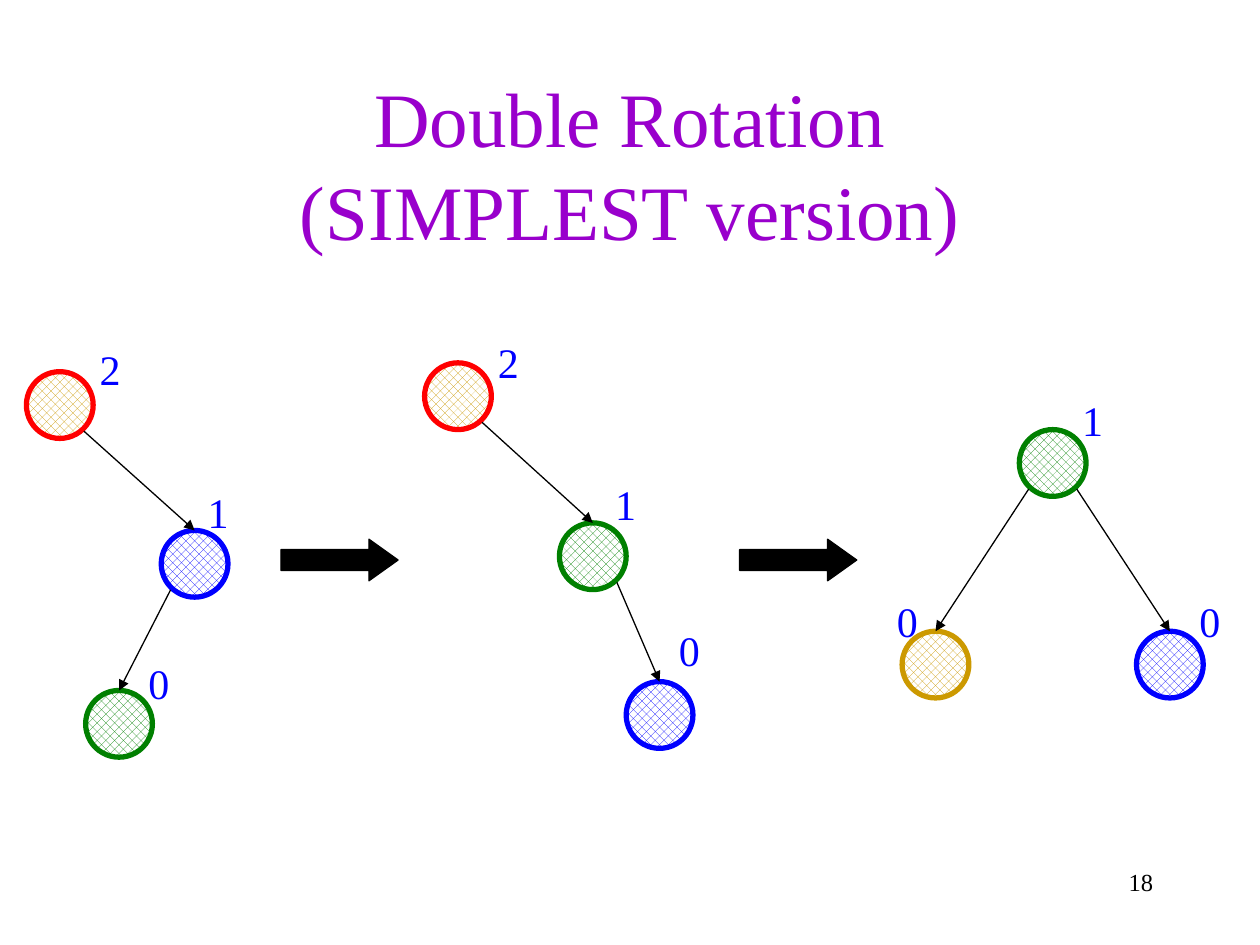
from collections import namedtuple
from dataclasses import dataclass

from lxml.etree import SubElement
from pptx import Presentation
from pptx.dml.color import RGBColor
from pptx.enum.dml import MSO_PATTERN
from pptx.enum.shapes import MSO_CONNECTOR, MSO_SHAPE
from pptx.enum.text import MSO_ANCHOR, PP_ALIGN
from pptx.oxml.ns import qn
from pptx.util import Inches, Pt


@dataclass(frozen=True)
class Theme:
    font: str = "Times New Roman"
    title: str = "9900CC"
    ink: str = "000000"
    paper: str = "FFFFFF"
    red: str = "FF0000"
    green: str = "008000"
    blue: str = "0000FF"
    gold: str = "CC9900"
    title_size: int = 44
    label_size: int = 24
    number_size: int = 14
    ring_width: float = 3
    edge_width: float = 0.75


Box = namedtuple("Box", "left top width height")
# Node and label places are grid steps from the tree's and the node's corner.
Node = namedtuple("Node", "column row fill ring height label parent")

THEME = Theme()
COLUMNS, ROWS = 100, 75
STEP = Inches(10) // COLUMNS
NODE = 5.3
LABEL = (3.7, 5)


def grid(*steps):
    return [round(step * STEP) for step in steps]


def rgb(value):
    return RGBColor.from_string(value)


def add_text(page, text, box, *, size, color, align=PP_ALIGN.LEFT,
             anchor=MSO_ANCHOR.TOP, wrap=True):
    frame = page.shapes.add_textbox(*grid(*box)).text_frame
    frame.word_wrap = wrap
    frame.vertical_anchor = anchor
    para = frame.paragraphs[0]
    para.alignment = align
    para.text = text
    for span in para.runs:
        span.font.name = THEME.font
        span.font.size = Pt(size)
        span.font.color.rgb = rgb(color)


def add_node(page, box, fill, ring):
    circle = page.shapes.add_shape(MSO_SHAPE.OVAL, *grid(*box))
    circle.shadow.inherit = False
    circle.fill.patterned()
    circle.fill.pattern = MSO_PATTERN.PERCENT_50
    circle.fill.fore_color.rgb = rgb(fill)
    circle.fill.back_color.rgb = rgb(THEME.paper)
    circle.line.color.rgb = rgb(ring)
    circle.line.width = Pt(THEME.ring_width)
    return circle


def add_edge(page, parent, child):
    """Run an arrow from the parent's lower corner to the child's top."""
    share = 0.86 if child.left > parent.left else 0.14
    start = (parent.left + round(share * parent.width),
             parent.top + round(0.89 * parent.height))
    edge = page.shapes.add_connector(MSO_CONNECTOR.STRAIGHT, *start, *start)
    edge.end_connect(child, 0)
    edge.line.color.rgb = rgb(THEME.ink)
    edge.line.width = Pt(THEME.edge_width)
    SubElement(edge.line._get_or_add_ln(), qn("a:tailEnd"), type="triangle")
    SubElement(edge._element.spPr, qn("a:effectLst"))


def add_tree(page, left, top, nodes):
    """Draw nodes in order; a node's parent is an index of an earlier one."""
    circles = []
    for node in nodes:
        x, y = left + node.column, top + node.row
        circle = add_node(page, Box(x, y, NODE, NODE), node.fill, node.ring)
        if node.parent is not None:
            add_edge(page, circles[node.parent], circle)
        circles.append(circle)
        across, down = node.label
        add_text(page, node.height, Box(x + across, y + down, *LABEL),
                 size=THEME.label_size, color=THEME.blue, wrap=False)


def add_step_arrow(page, box):
    arrow = page.shapes.add_shape(MSO_SHAPE.RIGHT_ARROW, *grid(*box))
    arrow.shadow.inherit = False
    arrow.adjustments[1] = 0.7
    arrow.fill.solid()
    arrow.fill.fore_color.rgb = rgb(THEME.ink)
    arrow.line.color.rgb = rgb(THEME.ink)
    arrow.line.width = Pt(THEME.edge_width)


def add_title(page, box):
    add_text(page, "Double Rotation\v(SIMPLEST version)", box,
             size=THEME.title_size, color=THEME.title,
             align=PP_ALIGN.CENTER, anchor=MSO_ANCHOR.MIDDLE)


def add_page_number(page, box):
    add_text(page, "18", box, size=THEME.number_size, color=THEME.ink,
             align=PP_ALIGN.RIGHT)


def main():
    red, green, blue, gold = THEME.red, THEME.green, THEME.blue, THEME.gold
    zigzag = [
        Node(0, 0, gold, red, "2", (4.83, -2.7), None),
        Node(10.7, 12.6, blue, blue, "1", (2.7, -4), 0),
        Node(4.7, 25.3, green, green, "0", (4, -3.1), 1),
    ]
    chain = [
        Node(0, 0, gold, red, "2", (4.83, -2.6), None),
        Node(10.7, 12.7, green, green, "1", (3.43, -4), 0),
        Node(16, 25.3, blue, blue, "0", (3.2, -5), 1),
    ]
    balanced = [
        Node(9.3, 0, green, green, "1", (4, -3.3), None),
        Node(0, 16, gold, gold, "0", (-1.4, -3.3), 0),
        Node(18.6, 16, blue, blue, "0", (4, -3.3), 0),
    ]

    deck = Presentation()
    deck.slide_width, deck.slide_height = COLUMNS * STEP, ROWS * STEP
    page = deck.slides.add_slide(deck.slide_layouts[6])

    add_title(page, Box(7.5, 6.7, 85, 12.5))
    add_tree(page, 2.1, 29.5, zigzag)
    add_tree(page, 33.7, 28.8, chain)
    add_tree(page, 71.6, 34.1, balanced)
    for left in (22.3, 58.7):
        add_step_arrow(page, Box(left, 42.8, 9.3, 3.3))
    add_page_number(page, Box(71.7, 68.3, 20.8, 5))
    deck.save("out.pptx")


if __name__ == "__main__":
    main()
